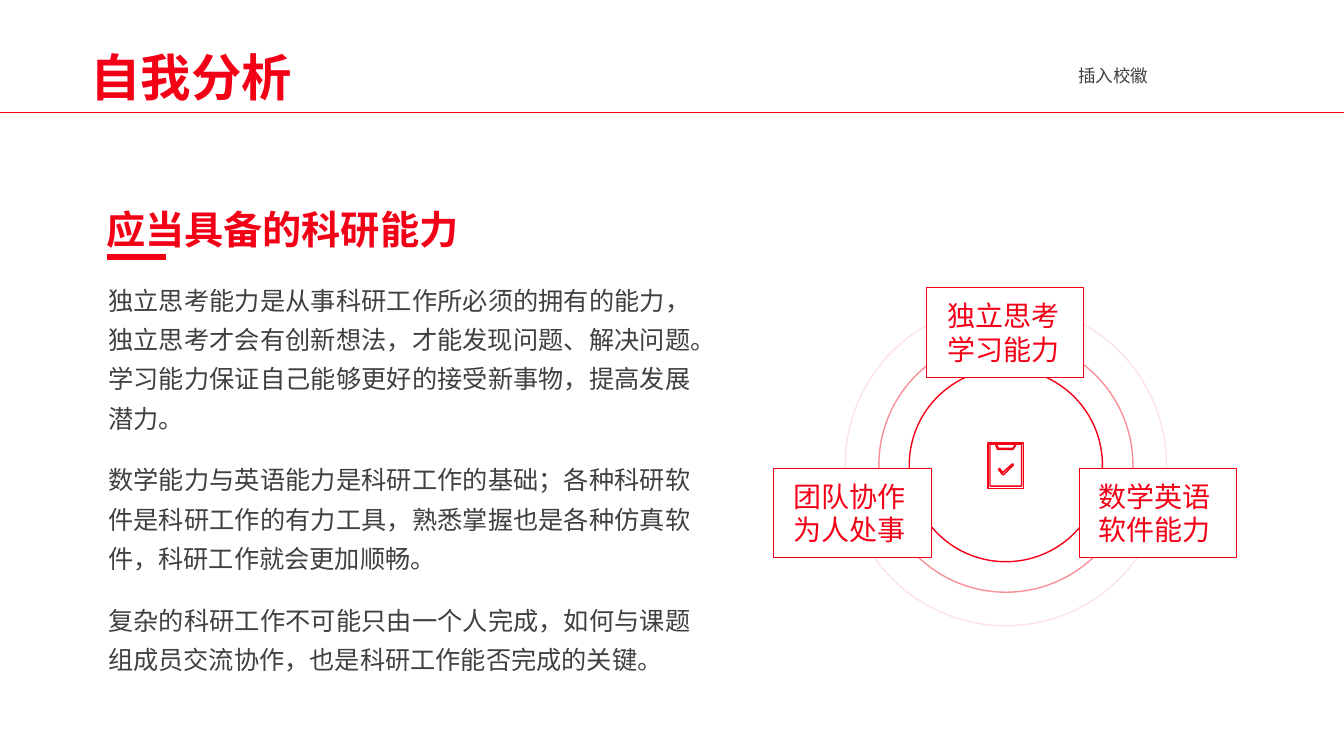
from lxml.etree import SubElement
from pptx import Presentation
from pptx.dml.color import RGBColor
from pptx.enum.shapes import MSO_CONNECTOR, MSO_SHAPE
from pptx.enum.text import MSO_ANCHOR, PP_ALIGN
from pptx.oxml.ns import qn
from pptx.util import Pt

PX = 9525
RED = RGBColor(0xF3, 0x00, 0x17)
GRAY = RGBColor(0x40, 0x40, 0x40)
WHITE = RGBColor(0xFF, 0xFF, 0xFF)

BODY = [
    "独立思考能力是从事科研工作所必须的拥有的能力，独立思考才会有创新想法，才能发现问题、解决问题。"
    "学习能力保证自己能够更好的接受新事物，提高发展潜力。",
    "数学能力与英语能力是科研工作的基础；各种科研软件是科研工作的有力工具，"
    "熟悉掌握也是各种仿真软件，科研工作就会更加顺畅。",
    "复杂的科研工作不可能只由一个人完成，如何与课题组成员交流协作，也是科研工作能否完成的关键。",
]
RINGS = [(121, 44), (92, 100), (153, 11)]
ABILITIES = [
    (145, 0, 1, ["独立思考", "学习能力"]),
    (291, 172, 3, ["数学英语", "软件能力"]),
    (0, 172, 3, ["团队协作", "为人处事"]),
]
TICK = [[(23, 20), (14, 28), (11, 24), (10, 25), (13, 29), (14, 30), (15, 30), (24, 21), (24, 20)]]
CLIPBOARD = [
    [(0, 0), (34, 0), (34, 43), (0, 43)],
    [(26, 1), (24, 5), (10, 5), (8, 1)],
    [(32, 41), (2, 41), (2, 1), (7, 1), (9, 6), (24, 6), (27, 1), (32, 1)],
]


def px(*values):
    """Turn px lengths into EMU."""
    return [v * PX for v in values]


def write(sp, lines, insets, font, para=None, anchor=MSO_ANCHOR.TOP, wrap=True):
    """Fill a shape with paragraphs that share one format."""
    tf = sp.text_frame
    left, top, right, bottom = px(*insets)
    frame = dict(margin_left=left, margin_top=top, margin_right=right, margin_bottom=bottom,
                 vertical_anchor=anchor, word_wrap=wrap)
    for name, value in frame.items():
        setattr(tf, name, value)
    color = font.pop("color")
    for i, line in enumerate(lines):
        p = tf.paragraphs[0] if i == 0 else tf.add_paragraph()
        for name, value in (para or {}).items():
            if i or name != "space_before":
                setattr(p, name, value)
        r = p.add_run()
        r.text = line
        for name, value in font.items():
            setattr(r.font, name, value)
        r.font.color.rgb = color


def style(sp, line, width, fill=None):
    """Set the outline and fill of a shape and drop its shadow."""
    sp.shadow.inherit = False
    if fill is None:
        sp.fill.background()
    else:
        sp.fill.solid()
        sp.fill.fore_color.rgb = fill
    sp.line.color.rgb = line
    sp.line.width = Pt(width)


def add_rule(s, x, y, w, width):
    """Draw a horizontal red line."""
    sp = s.shapes.add_connector(MSO_CONNECTOR.STRAIGHT, *px(x, y, x + w, y))
    sp.line.color.rgb = RED
    sp.line.width = Pt(width)
    SubElement(sp._element.spPr, qn("a:effectLst"))


def add_header(s, x, y, w, h):
    """Place the title, the crest label and the line below them."""
    add_rule(s, x, y + h, w, 1)
    title = s.shapes.add_textbox(*px(x + 86, y + 41, 942, 70))
    write(title, ["自我分析"], (0, 5, 10, 5),
          dict(name="Arial", size=Pt(36), bold=True, color=RED),
          dict(line_spacing=0.9), MSO_ANCHOR.MIDDLE)
    crest = s.shapes.add_shape(MSO_SHAPE.RECTANGLE, *px(x + 1008, y + 41, 201, 60))
    style(crest, WHITE, 1, WHITE)
    write(crest, ["插入校徽"], (19, 19, 19, 19),
          dict(name="Arial", size=Pt(12.5), color=GRAY),
          dict(line_spacing=1.1, alignment=PP_ALIGN.LEFT), MSO_ANCHOR.MIDDLE)


def add_analysis(s, x, y, w, h):
    """Place the heading, its short underline and the body text."""
    add_rule(s, x + 18, y + 68, 56, 4)
    heading = s.shapes.add_textbox(*px(x + 9, y, w - 9, 62))
    write(heading, ["应当具备的科研能力"], (8, 5, 10, 5),
          dict(name="Noto Sans CJK SC", size=Pt(28), bold=True, color=RED),
          dict(line_spacing=1.3))
    body = s.shapes.add_textbox(*px(x, y + 81, w, h - 81))
    write(body, BODY, (19, 5, 19, 5), dict(name="Arial", size=Pt(18), color=GRAY),
          dict(line_spacing=1.3, space_before=Pt(10), space_after=Pt(6),
               alignment=PP_ALIGN.JUSTIFY))


def add_outline(s, x, y, contours):
    """Draw closed contours as one red-lined shape."""
    start, *rest = contours[0]
    builder = s.shapes.build_freeform(*start, scale=PX)
    builder.add_line_segments(rest)
    for first, *others in contours[1:]:
        builder.move_to(*first)
        builder.add_line_segments(others)
    style(builder.convert_to_shape(*px(x, y)), RED, 1, WHITE)


def add_abilities(s, x, y):
    """Draw the rings, the three ability boxes and the clipboard."""
    cx, cy = x + 221, y + 169
    for radius, opacity in RINGS:
        ring = s.shapes.add_shape(MSO_SHAPE.OVAL, *px(cx - radius, cy - radius, 2 * radius, 2 * radius))
        style(ring, RED, 1)
        if opacity < 100:
            color = ring.line._ln.find(".//" + qn("a:srgbClr"))
            SubElement(color, qn("a:alpha"), val=str(opacity * 1000))
    for dx, dy, shift, lines in ABILITIES:
        box = s.shapes.add_shape(MSO_SHAPE.RECTANGLE, *px(x + dx, y + dy, 150, 85))
        style(box, RED, 0.5, WHITE)
        write(box, lines, (0, 5, 2 * shift, 5), dict(name="Arial", size=Pt(20), color=RED),
              dict(alignment=PP_ALIGN.CENTER), MSO_ANCHOR.MIDDLE)
    for contours in (CLIPBOARD, TICK):
        add_outline(s, cx - 17, cy - 21, contours)


def main():
    """Build the slide and save it."""
    prs = Presentation()
    prs.slide_width, prs.slide_height = px(1280, 720)
    s = prs.slides.add_slide(prs.slide_layouts[6])
    add_header(s, 0, 0, 1280, 107)
    add_analysis(s, 84, 177, 593, 477)
    add_abilities(s, 737, 274)
    prs.save("out.pptx")


if __name__ == "__main__":
    main()
